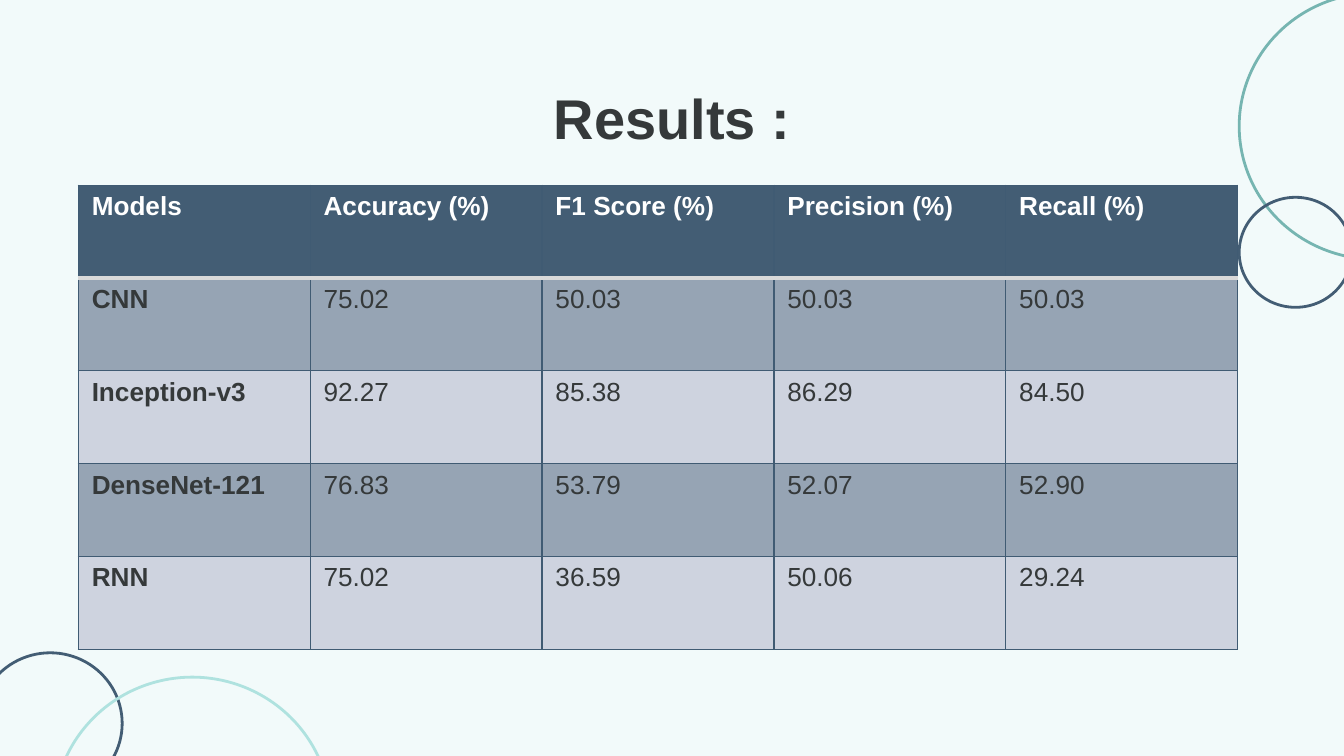
from dataclasses import dataclass

from lxml import etree
from pptx import Presentation
from pptx.dml.color import RGBColor
from pptx.enum import shapes, text
from pptx.oxml import ns
from pptx.util import Cm, Pt


@dataclass(frozen=True)
class Theme:
    font: str = "Arial"
    background: str = "F2FAFA"
    ink: str = "35393A"
    white: str = "FFFFFF"
    navy: str = "435D74"
    teal: str = "76B5B1"
    mint: str = "AFE2DF"
    band_dark: str = "96A4B4"
    band_light: str = "CED3DF"
    grid: str = "405B73"
    header_rule: str = "D9D9D9"
    title_size: float = 30
    table_size: float = 14
    circle_width: float = 1.5
    grid_width: float = 0.75
    rule_width: float = 2


THEME = Theme()

RESULTS = [
    ["Models", "Accuracy (%)", "F1 Score (%)", "Precision (%)", "Recall (%)"],
    ["CNN", "75.02", "50.03", "50.03", "50.03"],
    ["Inception-v3", "92.27", "85.38", "86.29", "84.50"],
    ["DenseNet-121", "76.83", "53.79", "52.07", "52.90"],
    ["RNN", "75.02", "36.59", "50.06", "29.24"],
]


def rgb(colour):
    return RGBColor.from_string(colour)


def format_runs(paragraph, size, colour, bold):
    for run in paragraph.runs:
        run.font.name = THEME.font
        run.font.size = Pt(size)
        run.font.color.rgb = rgb(colour)
        run.font.bold = bold


def add_circles(slide, left, top, circles):
    for x, y, width, height, colour in circles:
        circle = slide.shapes.add_shape(
            shapes.MSO_SHAPE.OVAL, left + Cm(x), top + Cm(y), Cm(width), Cm(height))
        circle.shadow.inherit = False
        circle.fill.background()
        circle.line.color.rgb = rgb(colour)
        circle.line.width = Pt(THEME.circle_width)


def place_title(slide, left, top, width, height):
    title = slide.shapes.title
    title.left, title.top, title.width, title.height = left, top, width, height
    frame = title.text_frame
    frame.text = "Results :"
    frame.auto_size = text.MSO_AUTO_SIZE.NONE
    frame.vertical_anchor = text.MSO_ANCHOR.TOP
    frame.margin_left = frame.margin_right = frame.margin_bottom = Cm(0.25)
    frame.margin_top = Cm(0.34)
    heading = frame.paragraphs[0]
    heading.alignment = text.PP_ALIGN.CENTER
    heading.line_spacing = 1.0
    format_runs(heading, THEME.title_size, THEME.ink, True)


def set_border(cell, side, colour, width):
    properties = cell._tc.get_or_add_tcPr()
    border = etree.SubElement(properties, ns.qn(f"a:ln{side}"), w=str(Pt(width)))
    fill = etree.SubElement(border, ns.qn("a:solidFill"))
    etree.SubElement(fill, ns.qn("a:srgbClr"), val=colour)


def format_cell(cell, row, column):
    is_header = row == 0
    for side in "LRTB":
        if (row, side) in ((0, "B"), (1, "T")):
            set_border(cell, side, THEME.header_rule, THEME.rule_width)
        else:
            set_border(cell, side, THEME.grid, THEME.grid_width)
    band = THEME.band_dark if row % 2 else THEME.band_light
    cell.fill.solid()
    cell.fill.fore_color.rgb = rgb(THEME.navy if is_header else band)
    format_runs(cell.text_frame.paragraphs[0], THEME.table_size,
                THEME.white if is_header else THEME.ink, is_header or column == 0)


def add_results(slide, left, top, width, height):
    results = slide.shapes.add_table(
        len(RESULTS), len(RESULTS[0]), left, top, width, height).table
    results.first_col = True
    for row, values in enumerate(RESULTS):
        for column, value in enumerate(values):
            cell = results.cell(row, column)
            cell.text_frame.text = value
            format_cell(cell, row, column)


def build_results_slide(deck):
    slide = deck.slides.add_slide(deck.slide_layouts.get_by_name("Title Only"))
    slide.background.fill.solid()
    slide.background.fill.fore_color.rgb = rgb(THEME.background)
    add_circles(slide, Cm(23.42), Cm(-0.13), [
        (0, 0, 5.13, 5.03, THEME.teal),
        (0, 3.86, 2.13, 2.08, THEME.navy),
    ])
    add_circles(slide, Cm(-0.41), Cm(12.34), [
        (0, 0, 2.72, 2.67, THEME.navy),
        (1.43, 0.46, 5.23, 5.13, THEME.mint),
    ])
    place_title(slide, Cm(1.98), Cm(1.24), Cm(21.44), Cm(1.6))
    add_results(slide, Cm(1.48), Cm(3.5), Cm(21.91), Cm(8.77))


def main():
    deck = Presentation()
    deck.slide_width, deck.slide_height = Cm(25.4), Cm(14.29)
    build_results_slide(deck)
    deck.save("out.pptx")


if __name__ == "__main__":
    main()
